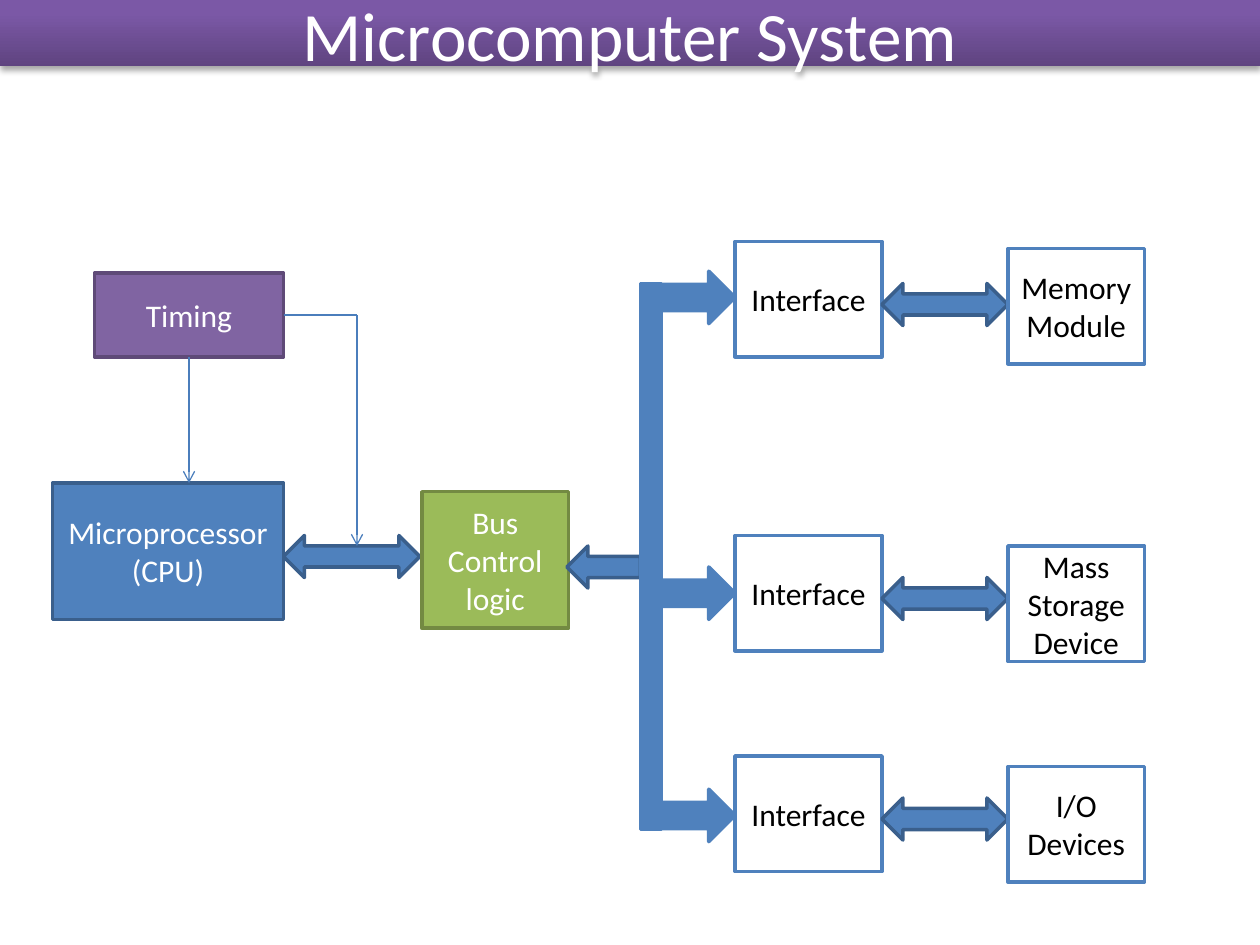
from copy import deepcopy

from lxml import etree
from pptx import Presentation
from pptx.dml.color import RGBColor
from pptx.enum.shapes import MSO_CONNECTOR, MSO_SHAPE
from pptx.enum.text import MSO_ANCHOR, PP_ALIGN
from pptx.oxml.ns import qn
from pptx.util import Pt

RECT = MSO_SHAPE.RECTANGLE
LEFT = MSO_SHAPE.LEFT_ARROW
RIGHT = MSO_SHAPE.RIGHT_ARROW
BOTH = MSO_SHAPE.LEFT_RIGHT_ARROW
STRAIGHT = MSO_CONNECTOR.STRAIGHT
MIDDLE = MSO_ANCHOR.MIDDLE
CENTER = PP_ALIGN.CENTER

BLUE, DARK_BLUE, LINE_BLUE = "4F81BD", "3A5F8C", "4B7EBC"
WHITE, BLACK = "FFFFFF", "000000"


def rgb(value):
    return RGBColor.from_string(value)


def add_text(s, lines, color, size=18):
    tf = s.text_frame
    tf.word_wrap = True
    tf.vertical_anchor = MIDDLE
    for i, line in enumerate(lines):
        p = tf.paragraphs[0] if i == 0 else tf.add_paragraph()
        p.alignment = CENTER
        r = p.add_run()
        r.text = line
        r.font.name = "Calibri"
        r.font.size = Pt(size)
        r.font.color.rgb = rgb(color)


def add_block(slide, kind, box, fill, line, lines=(), color=WHITE):
    s = slide.shapes.add_shape(kind, *map(Pt, box))
    s.shadow.inherit = False
    s.fill.solid()
    s.fill.fore_color.rgb = rgb(fill)
    s.line.color.rgb = rgb(line)
    s.line.width = Pt(2)
    add_text(s, lines, color)


def add_wire(slide, start, end, arrow=False):
    c = slide.shapes.add_connector(STRAIGHT, *map(Pt, start + end))
    c.line.color.rgb = rgb(LINE_BLUE)
    c.line.width = Pt(0.75)
    sp_pr = c._element.spPr
    if arrow:
        etree.SubElement(sp_pr.find(qn("a:ln")), qn("a:tailEnd"), type="arrow")
    etree.SubElement(sp_pr, qn("a:effectLst"))


def add_title_bar(slide, box):
    s = slide.shapes.add_shape(RECT, *map(Pt, box))
    s.line.fill.background()
    sp_pr = s._element.spPr

    # Three-stop gradient, dark at the bottom
    s.fill.gradient()
    s.fill.gradient_angle = 90
    stop_list = sp_pr.find(".//" + qn("a:gsLst"))
    stop_list.insert(1, deepcopy(stop_list[0]))
    stops = ((0, "5F4480"), (0.8, "7B58A6"), (1, "7C57A8"))
    for stop, (position, color) in zip(s.fill.gradient_stops, stops):
        stop.position = position
        stop.color.rgb = rgb(color)

    # Soft shadow below the bar
    s.shadow.inherit = False
    shadow = etree.SubElement(
        sp_pr.find(qn("a:effectLst")), qn("a:outerShdw"),
        blurRad=str(int(Pt(3.1))), dist=str(int(Pt(1.8))),
        dir="5400000", rotWithShape="0")
    shade = etree.SubElement(shadow, qn("a:srgbClr"), val=BLACK)
    etree.SubElement(shade, qn("a:alpha"), val="35000")

    add_text(s, ["Microcomputer System"], WHITE, 39.6)


def add_processor_side(slide, x, y):
    # Processor, timing and bus control
    add_block(slide, RECT, (x, y + 120, 132, 78), BLUE, DARK_BLUE,
              ["Microprocessor", "(CPU)"])
    add_block(slide, RECT, (x + 24, y, 108, 48), "8064A2", "5F4A78", ["Timing"])
    add_block(slide, BOTH, (x + 132, y + 150, 78, 24), BLUE, DARK_BLUE)
    add_block(slide, RECT, (x + 211, y + 125, 84, 78), "9BBB59", "738A42",
              ["Bus Control logic"])

    # Timing signals
    add_wire(slide, (x + 78, y + 48), (x + 78, y + 120), arrow=True)
    add_wire(slide, (x + 132, y + 24), (x + 174, y + 24))
    add_wire(slide, (x + 174, y + 24), (x + 174, y + 156), arrow=True)

    # Link from the bus back to bus control
    add_block(slide, LEFT, (x + 294, y + 156, 42, 24), BLUE, DARK_BLUE)


def add_device_row(slide, x, y, branch_y, device_y, device):
    add_block(slide, RIGHT, (x, branch_y, 48, 30), BLUE, BLUE)
    add_block(slide, RECT, (x + 48, y, 84, 66), WHITE, BLUE, ["Interface"], BLACK)
    add_block(slide, BOTH, (x + 132, y + 24, 72, 24), BLUE, DARK_BLUE)
    add_block(slide, RECT, (x + 204, device_y, 78, 66), WHITE, BLUE, [device], BLACK)


def add_bus_side(slide, x):
    rows = (
        (138, 155, 142, "Memory Module"),
        (306, 324, 312, "Mass Storage Device"),
        (432, 451, 438, "I/O Devices"),
    )
    for row in rows:
        add_device_row(slide, x + 6, *row)
    # Vertical bus
    add_block(slide, RECT, (x, 162, 12, 312), BLUE, BLUE)


def main():
    prs = Presentation()
    prs.slide_width, prs.slide_height = Pt(720), Pt(540)
    slide = prs.slides.add_slide(prs.slide_layouts[6])
    add_title_bar(slide, (0, 0, 720, 38))
    add_processor_side(slide, 30, 156)
    add_bus_side(slide, 366)
    prs.save("out.pptx")


if __name__ == "__main__":
    main()
